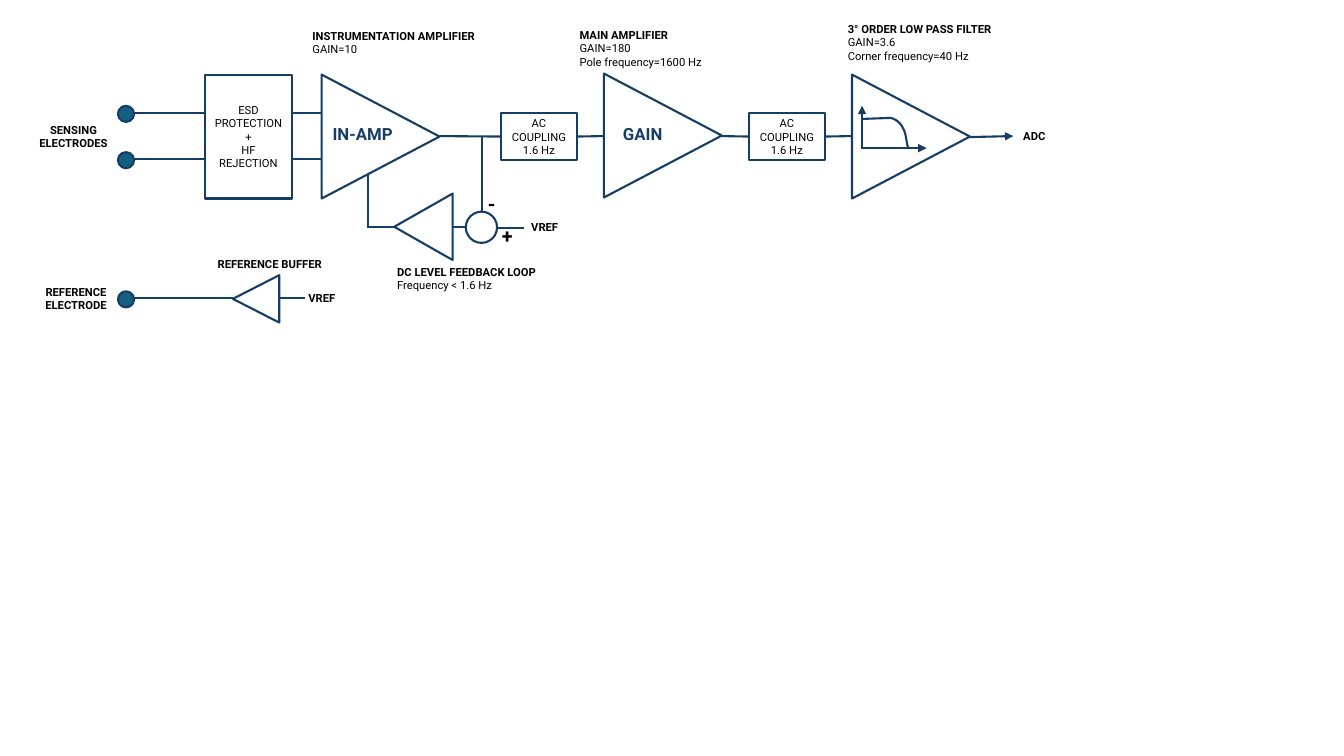
from lxml.etree import SubElement
from pptx import Presentation
from pptx.dml.color import RGBColor
from pptx.enum.shapes import MSO_CONNECTOR as Link, MSO_SHAPE as Form
from pptx.enum.text import MSO_ANCHOR as Anchor, PP_ALIGN as Align
from pptx.oxml.ns import qn
from pptx.util import Inches, Pt

NAVY = RGBColor(0x16, 0x3E, 0x64)
TEAL = RGBColor(0x15, 0x60, 0x82)
BLACK = RGBColor(0, 0, 0)
WHITE = RGBColor(255, 255, 255)


class Sketch:
    """Draws block diagram parts on one slide in a single style."""

    def __init__(self, slide, font="Roboto", weight=1.5):
        self.shapes = slide.shapes
        self.font = font
        self.weight = Pt(weight)

    def paint(self, shape, fill=WHITE):
        shape.shadow.inherit = False
        shape.fill.solid()
        shape.fill.fore_color.rgb = fill
        shape.line.color.rgb = NAVY
        shape.line.width = self.weight
        return shape

    def letter(self, frame, text, align, size=8, color=BLACK, bold=True, pad=0.08):
        frame.word_wrap = True
        frame.margin_right = Inches(pad)
        frame.text = text
        for rank, par in enumerate(frame.paragraphs):
            par.alignment = align
            for run in par.runs:
                run.font.name = self.font
                run.font.size = Pt(size)
                run.font.bold = bold and rank == 0
                run.font.color.rgb = color

    def node(self, form, x, y, w, h, fill=WHITE):
        spot = [Inches(v) for v in (x, y, w, h)]
        return self.paint(self.shapes.add_shape(form, *spot), fill)

    def block(self, x, y, w, h, text):
        box = self.node(Form.RECTANGLE, x, y, w, h)
        frame = box.text_frame
        frame.margin_left = Inches(0.08)
        frame.vertical_anchor = Anchor.MIDDLE
        self.letter(frame, text, Align.CENTER, bold=False)
        return box

    def amp(self, x, y, w, h, turn=90):
        left, top = x + (w - h) / 2, y + (h - w) / 2
        self.node(Form.ISOSCELES_TRIANGLE, left, top, h, w).rotation = turn

    def label(self, x, y, w, h, text, size=8, color=BLACK):
        box = self.shapes.add_textbox(*[Inches(v) for v in (x, y, w, h)])
        self.letter(box.text_frame, text, Align.LEFT, size, color, pad=0)

    def side(self, x, y, w, h, text):
        box = self.shapes.add_textbox(*[Inches(v) for v in (x, y, w, h)])
        box.text_frame.margin_left = Inches(0.08)
        self.letter(box.text_frame, text, Align.CENTER)

    def wire(self, x1, y1, x2, y2, start=None, end=None, arrow=False):
        ends = [Inches(v) for v in (x1, y1, x2, y2)]
        line = self.shapes.add_connector(Link.STRAIGHT, *ends)
        if start:
            line.begin_connect(start, 3)
        if end:
            line.end_connect(end, 1)
        line.line.color.rgb = NAVY
        line.line.width = self.weight
        props = line._element.spPr
        if arrow:
            SubElement(props.find(qn("a:ln")), qn("a:tailEnd"), type="triangle")
        SubElement(props, qn("a:effectLst"))

    def curve(self, start, knee, bends, steps=12):
        points = [knee]
        for bend in bends:
            a, (b, c, d) = points[-1], bend
            for step in range(1, steps + 1):
                t = step / steps
                u = 1 - t
                points.append([
                    u**3 * a[i] + 3 * u * u * t * b[i] + 3 * u * t * t * c[i] + t**3 * d[i]
                    for i in (0, 1)
                ])
        trace = self.shapes.build_freeform(*[Inches(v) for v in start])
        trace.add_line_segments([(Inches(x), Inches(y)) for x, y in points], close=False)
        self.paint(trace.convert_to_shape())


def main():
    deck = Presentation()
    deck.slide_width, deck.slide_height = Inches(13.33), Inches(7.5)
    art = Sketch(deck.slides.add_slide(deck.slide_layouts[6]))

    art.block(2.03, 0.74, 0.87, 1.23, "ESD PROTECTION\n+\nHF REJECTION")
    first, second = [
        art.block(x, 1.12, 0.75, 0.47, "AC COUPLING\n1.6 Hz") for x in (4.97, 7.43)
    ]

    for y in (1.12, 1.58):
        art.wire(1.32, y, 2.03, y)
        art.wire(2.91, y, 3.18, y)
    for y in (1.05, 1.51, 2.89):
        art.node(Form.OVAL, 1.17, y, 0.16, 0.16, TEAL)
    art.wire(4.36, 1.35, 4.97, 1.36, end=first)
    art.wire(5.72, 1.35, 5.99, 1.35, start=first)
    art.wire(7.16, 1.35, 7.43, 1.35, end=second)
    art.wire(8.18, 1.35, 8.45, 1.35, start=second)
    art.wire(9.62, 1.36, 10.05, 1.35, arrow=True)
    art.wire(1.32, 2.96, 2.31, 2.96)
    art.wire(2.77, 2.96, 3.03, 2.96)
    art.wire(3.64, 2.25, 3.91, 2.25)
    art.wire(3.65, 2.26, 3.65, 1.72)
    art.wire(4.78, 2.1, 4.78, 1.36)
    art.wire(4.49, 2.25, 4.63, 2.25)
    art.wire(4.94, 2.26, 5.2, 2.26)

    for x, y in ((3.19, 0.74), (5.99, 0.73), (8.45, 0.74)):
        art.amp(x, y, 1.17, 1.23)
    art.amp(2.31, 2.73, 0.46, 0.47, 270)
    art.amp(3.91, 1.92, 0.58, 0.66, 270)
    art.node(Form.OVAL, 4.62, 2.1, 0.31, 0.31)

    art.curve((8.56, 1.18), (8.83, 1.17), [
        ((8.89, 1.18), (8.94, 1.23), (8.96, 1.28)),
        ((8.99, 1.33), (8.99, 1.43), (9.01, 1.47)),
    ])
    art.wire(8.54, 1.47, 9.19, 1.47, arrow=True)
    art.wire(8.55, 1.47, 8.55, 1.05, arrow=True)

    art.side(0.28, 1.17, 0.9, 0.37, "SENSING ELECTRODES")
    art.side(0.34, 2.78, 0.83, 0.37, "REFERENCE ELECTRODE")
    for spot in (
        (3, 0.24, 1.97, 0.37, "INSTRUMENTATION AMPLIFIER\nGAIN=10"),
        (5.65, 0.23, 1.85, 0.5, "MAIN AMPLIFIER\nGAIN=180\nPole frequency=1600 Hz"),
        (8.31, 0.17, 1.85, 0.5,
         "3° ORDER LOW PASS FILTER\nGAIN=3.6\nCorner frequency=40 Hz"),
        (3.84, 2.58, 1.97, 0.37, "DC LEVEL FEEDBACK LOOP\nFrequency < 1.6 Hz"),
        (2.06, 2.5, 1.31, 0.24, "REFERENCE BUFFER"),
        (10.05, 1.23, 0.45, 0.24, "ADC"),
        (5.17, 2.14, 0.49, 0.24, "VREF"),
        (2.96, 2.84, 0.49, 0.24, "VREF"),
        (4.74, 1.86, 0.18, 0.34, "-", 14),
        (4.88, 2.17, 0.18, 0.34, "+", 14),
        (3.2, 1.18, 0.83, 0.3, "IN-AMP", 12, NAVY),
        (6.08, 1.18, 0.64, 0.3, "GAIN", 12, NAVY),
    ):
        art.label(*spot)

    deck.save("out.pptx")


if __name__ == "__main__":
    main()
